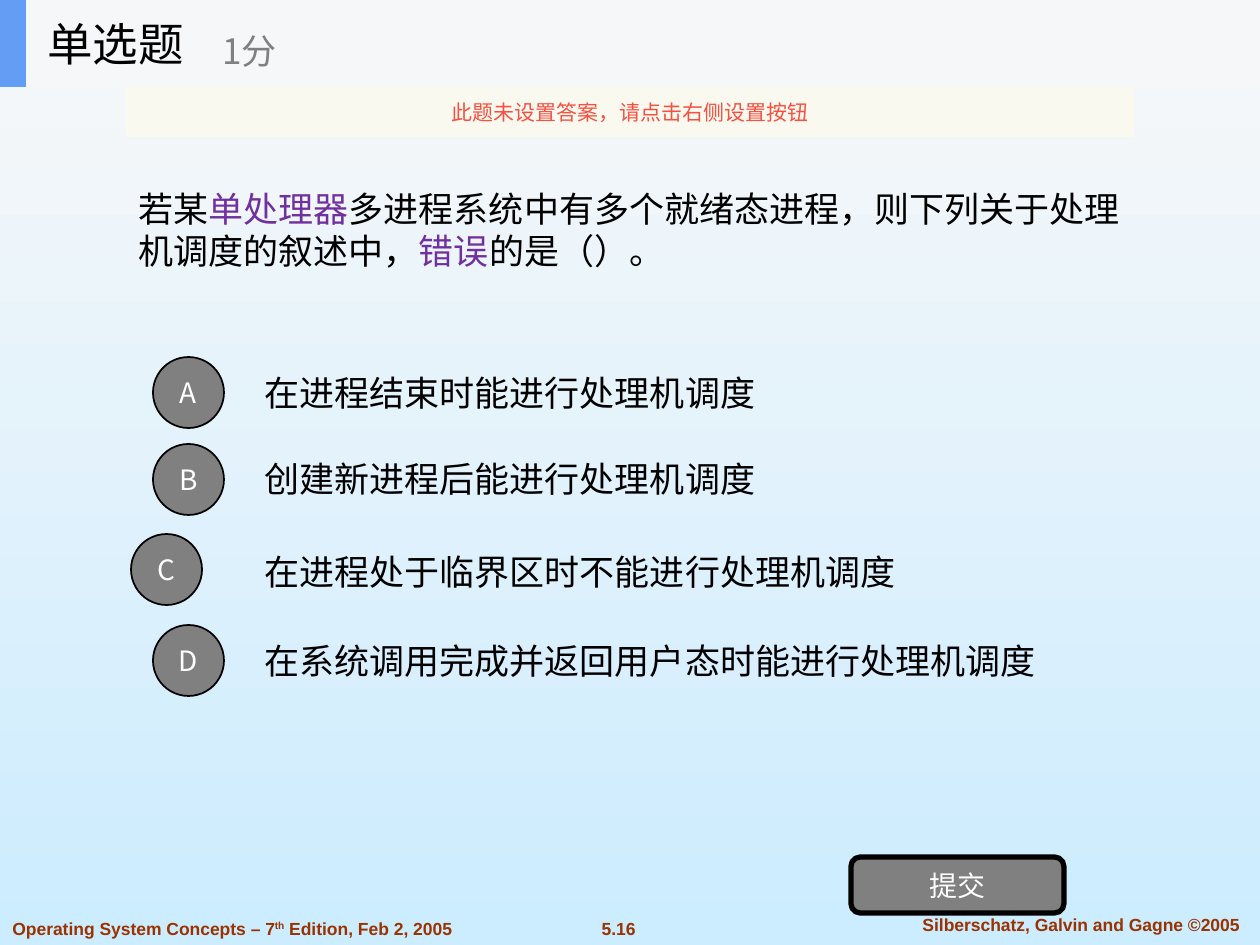
from lxml.etree import SubElement
from pptx import Presentation
from pptx.dml.color import RGBColor
from pptx.enum.shapes import MSO_SHAPE as SHAPE
from pptx.enum.text import MSO_ANCHOR as ANCHOR, PP_ALIGN as ALIGN
from pptx.oxml.ns import qn
from pptx.util import Pt

PX = 914400 / 126
CJK, LATIN = "Noto Sans CJK SC", "Arial"
COLORS = {
    "black": "000000", "white": "FFFFFF", "gray": "808080",
    "purple": "7030A0", "brown": "993300", "red": "F84F41",
    "blue": "639EF4", "header": "F6F7F8", "cream": "FBFAEF",
    "top": "F8F8F8", "bottom": "CCECFF",
}

# Runs are (text, color); a color of None follows the paragraph.
QUESTION = [
    ("若某", None), ("单处理器", "purple"),
    ("多进程系统中有多个就绪态进程，则下列关于处理机调度的叙述中，", None),
    ("错误", "purple"), ("的是（）。", None),
]
# Letter, circle left, circle top, text top, text
OPTIONS = [
    ("A", 153, 357, 349, "在进程结束时能进行处理机调度"),
    ("B", 153, 444, 435, "创建新进程后能进行处理机调度"),
    ("C", 131, 534, 527, "在进程处于临界区时不能进行处理机调度"),
    ("D", 153, 625, 616, "在系统调用完成并返回用户态时能进行处理机调度"),
]
# Runs, box, alignment
FOOTERS = [
    ([("5.16", None)], (585, 911, 67, 34), ALIGN.CENTER),
    ([("Silberschatz, Galvin and Gagne ©2005", None)],
     (894, 907, 374, 34), ALIGN.CENTER),
    ([("Operating System Concepts – 7", None), ("th", None),
      (" Edition, Feb 2, 2005", None)], (0, 911, 518, 34), ALIGN.LEFT),
]


def rgb(name):
    return RGBColor.from_string(COLORS[name])


def emu(box):
    return [round(n * PX) for n in box]


def write(shape, runs, size, color, align=ALIGN.LEFT, font=CJK, bold=False):
    frame = shape.text_frame
    frame.word_wrap = True
    frame.vertical_anchor = ANCHOR.MIDDLE
    para = frame.paragraphs[0]
    para.alignment = align
    para.font.size, para.font.bold = Pt(size), bold
    para.font.color.rgb = rgb(color)
    para.font.name = font
    props = para._p.pPr.find(qn("a:defRPr"))
    SubElement(props, qn("a:ea")).set("typeface", font)
    for text, tint in runs:
        run = para.add_run()
        run.text = text
        if tint:
            run.font.color.rgb = rgb(tint)
    return para


def label(slide, box, runs, *style, **more):
    return write(slide.shapes.add_textbox(*emu(box)), runs, *style, **more)


def block(slide, kind, box, fill, line=0):
    shape = slide.shapes.add_shape(kind, *emu(box))
    shape.shadow.inherit = False
    shape.fill.solid()
    shape.fill.fore_color.rgb = rgb(fill)
    if line:
        shape.line.color.rgb = rgb("black")
        shape.line.width = Pt(line)
    else:
        shape.line.fill.background()
    return shape


def main():
    deck = Presentation()
    deck.slide_width, deck.slide_height = emu((1260, 945))
    slide = deck.slides.add_slide(deck.slide_layouts[6])

    back = slide.background.fill
    back.gradient()
    back.gradient_angle = 270
    for stop, name in zip(back.gradient_stops, ("top", "bottom")):
        stop.color.rgb = rgb(name)

    for runs, box, align in FOOTERS:
        para = label(slide, box, runs, 10, "brown", align, LATIN, bold=True)
        for run in para.runs:
            if run.text == "th":
                run._r.get_or_add_rPr().set("baseline", "30000")

    label(slide, (126, 118, 1008, 222), QUESTION, 20, "black")
    for letter, left, top, row, text in OPTIONS:
        label(slide, (252, row, 882, 88), [(text, None)], 20, "black")
        dot = block(slide, SHAPE.OVAL, (left, top, 71, 71), "gray", 1)
        write(dot, [(letter, None)], 16, "white", ALIGN.CENTER)

    button = block(slide, SHAPE.ROUNDED_RECTANGLE, (851, 857, 213, 56), "gray", 3)
    write(button, [("提交", None)], 16, "white", ALIGN.CENTER)

    block(slide, SHAPE.RECTANGLE, (0, 0, 1260, 87), "header")
    block(slide, SHAPE.RECTANGLE, (0, 0, 26, 87), "blue")
    label(slide, (35, 0, 262, 87), [("单选题", None)], 26, "black")
    label(slide, (210, 15, 315, 71), [("1分", None)], 20, "gray")

    notice = block(slide, SHAPE.RECTANGLE, (126, 87, 1008, 50), "cream")
    tone = notice._element.spPr.find(qn("a:solidFill"))[0]
    SubElement(tone, qn("a:alpha")).set("val", "90000")
    write(notice, [("此题未设置答案，请点击右侧设置按钮", None)], 12, "red", ALIGN.CENTER)

    deck.save("out.pptx")


if __name__ == "__main__":
    main()
